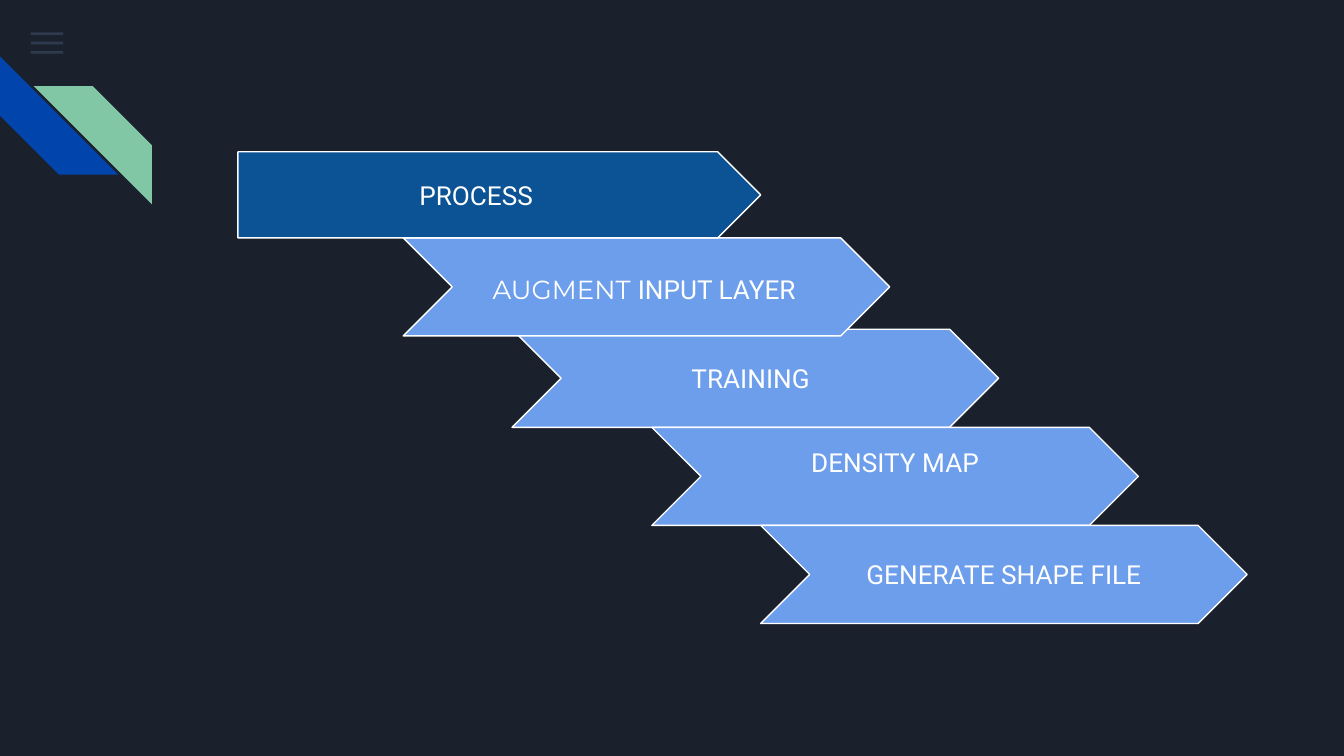
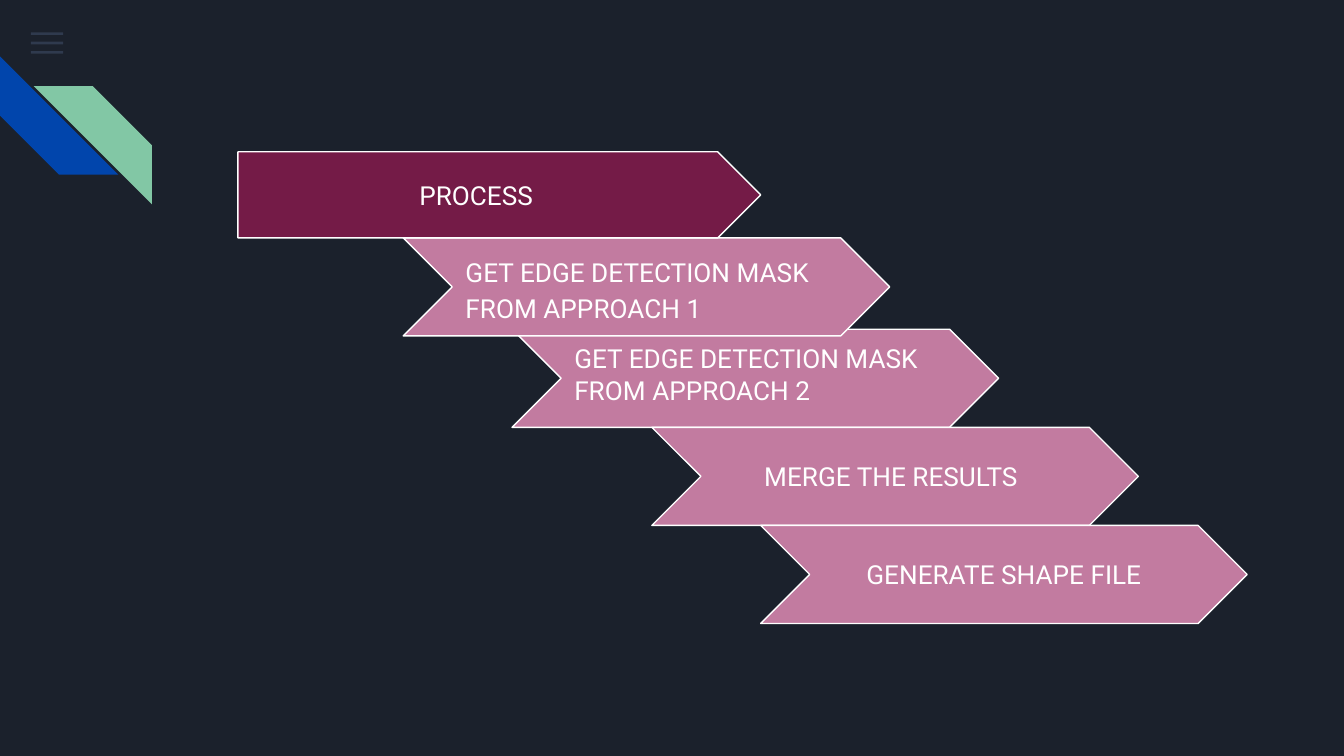
from pptx import Presentation
from pptx.dml.color import RGBColor
from pptx.enum.shapes import MSO_SHAPE
from pptx.enum.text import MSO_ANCHOR, PP_ALIGN
from pptx.oxml.ns import qn
from pptx.util import Inches, Pt
from lxml import etree

RECT = MSO_SHAPE.RECTANGLE
STRIPE = MSO_SHAPE.DIAGONAL_STRIPE
PLATE = MSO_SHAPE.PENTAGON
CHEVRON = MSO_SHAPE.CHEVRON
TOP, MID = MSO_ANCHOR.TOP, MSO_ANCHOR.MIDDLE
LEFT, CENTER = PP_ALIGN.LEFT, PP_ALIGN.CENTER

DARK, WHITE = "1B212C", "FFFFFF"
SLATE, ROYAL, MINT = "55688B", "0145AC", "82C7A5"
NAVY, SKY = "0B5394", "6D9EEB"
WINE, ROSE = "741B47", "C27BA0"
BODY, LIGHT = "Roboto", "Montserrat"

FRAME = {"word_wrap": True, "vertical_anchor": MID}
PAR = {"alignment": LEFT}
FONT = {"name": BODY, "size": Pt(14)}
LOOSE = {"line_spacing": 1.15, "space_after": Pt(16)}
SIDES = ("left", "top", "right", "bottom")
INSET = 0.1

PLACES = [(0, 0), (1.23, 0.64), (2.04, 1.32), (3.08, 2.05), (3.89, 2.78)]
ORDER = (2, 3, 1, 0, 4)


def color(code):
    return RGBColor.from_string(code)


def apply(item, values):
    for key, value in values.items():
        setattr(item, key, value)


def block(slide, kind, box, fill, line=None):
    shape = slide.shapes.add_shape(kind, *map(Inches, box))
    shape.shadow.inherit = False
    shape.fill.solid()
    shape.fill.fore_color.rgb = color(fill)
    if line:
        shape.line.color.rgb = color(line)
        shape.line.width = Pt(0.75)
    else:
        shape.line.fill.background()
    return shape


def write(shape, runs, frame=None, par=None, inset=None):
    text = shape.text_frame
    pads = {side: INSET for side in SIDES} | (inset or {})
    apply(text, {f"margin_{side}": Inches(pad) for side, pad in pads.items()})
    apply(text, FRAME | (frame or {}))
    line = text.paragraphs[0]
    apply(line, PAR | (par or {}))
    for words, face in runs:
        run = line.add_run()
        run.text = words
        apply(run.font, FONT | {"name": face})
        run.font.color.rgb = color(WHITE)


def menu(slide, x, y):
    for row in range(3):
        bar = block(slide, RECT, (x, y + row * 0.07, 0.24, 0.02), SLATE)
        tint = bar.element.spPr.find(".//" + qn("a:srgbClr"))
        etree.SubElement(tint, qn("a:alpha")).set("val", "36000")


def badge(slide, x, y):
    side = 0.88
    blue = block(slide, STRIPE, (x, y, side, side), ROYAL)
    blue.rotation = 270
    green = block(slide, STRIPE, (x + 0.25, y + 0.22, side, side), MINT)
    green.element.spPr.find(qn("a:xfrm")).set("flipH", "1")


def stairs(slide, x, y, dark, pale, steps):
    for step in ORDER:
        left, top = PLACES[step]
        if step:
            kind, size, fill = CHEVRON, (3.62, 0.73), pale
        else:
            kind, size, fill = PLATE, (3.89, 0.64), dark
        shape = block(slide, kind, (x + left, y + top, *size), fill, WHITE)
        write(shape, **steps[step])


def page(deck, dark, pale, steps):
    slide = deck.slides.add_slide(deck.slide_layouts[6])
    slide.background.fill.solid()
    slide.background.fill.fore_color.rgb = color(DARK)
    menu(slide, 0.23, 0.24)
    badge(slide, 0, 0.42)
    stairs(slide, 1.77, 1.13, dark, pale, steps)


def plain(words, **extra):
    return {"runs": [(words, BODY)]} | extra


def main():
    deck = Presentation()
    deck.slide_width = Inches(10)
    deck.slide_height = deck.slide_width * 9 // 16
    mid = {"alignment": CENTER}
    high = {"vertical_anchor": TOP}
    first = plain("PROCESS", inset={"left": 1.35})
    last = plain("GENERATE SHAPE FILE", par=mid)
    page(deck, NAVY, SKY, [
        first,
        {"runs": [("AUGMENT ", LIGHT), ("INPUT LAYER", BODY)],
         "par": LOOSE, "inset": {"left": 0.3}},
        plain("TRAINING", inset={"left": 0.97}),
        plain("DENSITY MAP", par=mid, inset={"bottom": 0.32}),
        last,
    ])
    page(deck, WINE, ROSE, [
        first,
        plain("GET EDGE DETECTION MASK FROM APPROACH 1",
              frame=high, par=LOOSE),
        plain("GET EDGE DETECTION MASK FROM APPROACH 2", frame=high),
        plain("MERGE THE RESULTS", par=mid, inset={"right": 0.16}),
        last,
    ])
    deck.save("out.pptx")


if __name__ == "__main__":
    main()
